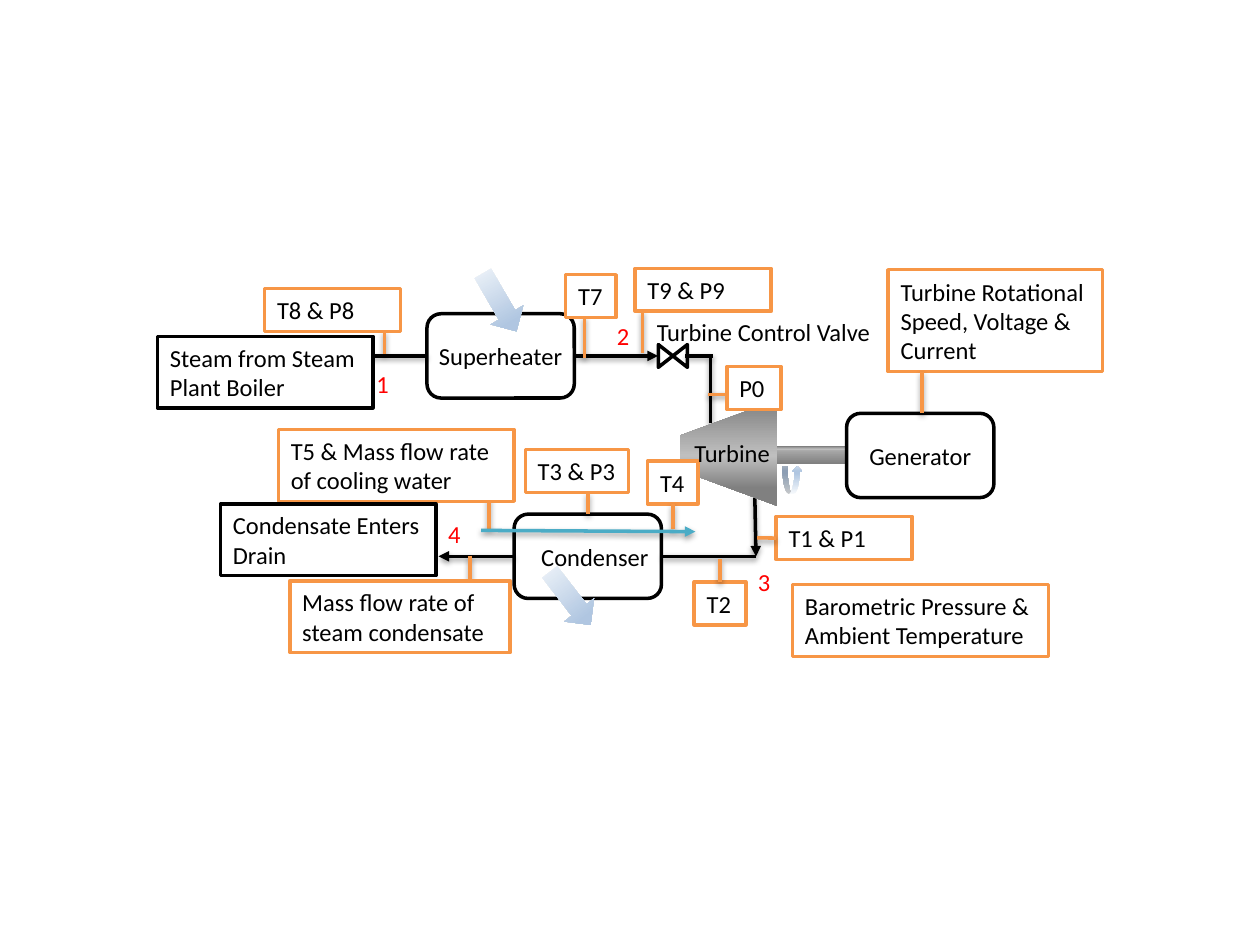
from dataclasses import dataclass
from typing import Any

from lxml.etree import SubElement
from pptx import Presentation
from pptx.dml.color import RGBColor
from pptx.enum.shapes import MSO_CONNECTOR, MSO_SHAPE
from pptx.enum.text import MSO_ANCHOR, PP_ALIGN
from pptx.oxml import parse_xml
from pptx.oxml.ns import nsdecls, qn
from pptx.util import Pt

BLACK = RGBColor(0x00, 0x00, 0x00)
WHITE = RGBColor(0xFF, 0xFF, 0xFF)
RED = RGBColor(0xFF, 0x00, 0x00)
ORANGE = RGBColor(0xF7, 0x96, 0x46)
TEAL = RGBColor(0x4B, 0xAC, 0xC6)
DARK_GREY = RGBColor(0x80, 0x80, 0x80)
MID_GREY = RGBColor(0xA6, 0xA6, 0xA6)
LIGHT_GREY = RGBColor(0xBF, 0xBF, 0xBF)
PALE_BLUE = RGBColor(0xF6, 0xF9, 0xFC)
SOFT_BLUE = RGBColor(0xB0, 0xC6, 0xE1)
MIST_BLUE = RGBColor(0xCA, 0xD9, 0xEB)

SHAFT_STOPS = [(0, DARK_GREY), (74, MID_GREY), (83, LIGHT_GREY), (100, DARK_GREY)]
TURBINE_STOPS = [(0, DARK_GREY), (53, LIGHT_GREY), (83, DARK_GREY), (100, DARK_GREY)]
FLOW_STOPS = [(0, PALE_BLUE), (74, SOFT_BLUE), (83, SOFT_BLUE), (100, MIST_BLUE)]

TOP, LEFT, BOTTOM, RIGHT = range(4)
LINE_HEIGHT = 24.5
TWO_LINES = 41
UNIT_SIZE = (84.2, 48.2)
DIGIT_SIZE = (21, LINE_HEIGHT)
FLOW_SIZE = (38.2, 21.6)


@dataclass
class Region:
    """A part of the diagram with its own origin in points."""
    shapes: Any
    left: float
    top: float


def write_text(shape, text, color=BLACK, align=PP_ALIGN.LEFT, inset=7.2, right_inset=None):
    """Fill a shape with one formatted paragraph."""
    frame = shape.text_frame
    frame.word_wrap = True
    frame.vertical_anchor = MSO_ANCHOR.MIDDLE
    frame.margin_left = Pt(inset)
    frame.margin_right = Pt(inset if right_inset is None else right_inset)
    paragraph = frame.paragraphs[0]
    paragraph.text = text
    paragraph.alignment = align
    paragraph.font.name = "Calibri"
    paragraph.font.size = Pt(14)
    paragraph.font.color.rgb = color


def add_label(region, text, left, top, width, height=LINE_HEIGHT, **text_format):
    """Add free text without an outline."""
    label = region.shapes.add_textbox(
        Pt(region.left + left), Pt(region.top + top), Pt(width), Pt(height))
    write_text(label, text, **text_format)


def add_state_number(region, text, left, top):
    """Add the red number of a state point."""
    add_label(region, text, left, top, *DIGIT_SIZE, color=RED, align=PP_ALIGN.CENTER, inset=0)


def add_preset(region, kind, left, top, width, height, rotation=0):
    """Add a preset shape with neither fill nor line."""
    shape = region.shapes.add_shape(
        kind, Pt(region.left + left), Pt(region.top + top), Pt(width), Pt(height))
    shape.rotation = rotation
    shape.shadow.inherit = False
    shape.fill.background()
    shape.line.fill.background()
    return shape


def outline(shape, color):
    """Draw the standard outline."""
    shape.line.color.rgb = color
    shape.line.width = Pt(2)


def add_box(region, text, left, top, width, height=LINE_HEIGHT, color=ORANGE):
    """Add an outlined text box for a reading or an end point."""
    box = add_preset(region, MSO_SHAPE.RECTANGLE, left, top, width, height)
    box.fill.solid()
    box.fill.fore_color.rgb = WHITE
    outline(box, color)
    write_text(box, text, right_inset=0 if width < 60 else 7.2)
    return box


def add_unit(region, text, left, top, **text_format):
    """Add a rounded box for a plant unit."""
    unit = add_preset(region, MSO_SHAPE.ROUNDED_RECTANGLE, left, top, *UNIT_SIZE)
    unit.fill.solid()
    unit.fill.fore_color.rgb = WHITE
    outline(unit, BLACK)
    write_text(unit, text, inset=0, **text_format)
    return unit


def add_gradient(shape, stops, angle):
    """Replace the fill with a linear gradient."""
    properties = shape.fill._xPr
    properties.remove(properties.find(qn("a:noFill")))
    gradient = parse_xml(f'<a:gradFill {nsdecls("a")} rotWithShape="1"><a:gsLst/></a:gradFill>')
    for position, color in stops:
        stop = SubElement(gradient[0], qn("a:gs"), pos=str(position * 1000))
        SubElement(stop, qn("a:srgbClr"), val=str(color))
    SubElement(gradient, qn("a:lin"), ang=str(angle * 60000), scaled="0")
    properties.find(qn("a:prstGeom")).addnext(gradient)


def add_flow_arrow(region, left, top, rotation):
    """Add a shaded block arrow for heat flow."""
    arrow = add_preset(region, MSO_SHAPE.RIGHT_ARROW, left, top, *FLOW_SIZE, rotation)
    add_gradient(arrow, FLOW_STOPS, 0)


def add_line(region, start, end, color=BLACK, arrow=False, begin=None, finish=None):
    """Add a softly shadowed line, joined to (shape, side) pairs if given."""
    points = [Pt(origin + offset) for point in (start, end)
              for origin, offset in zip((region.left, region.top), point)]
    line = region.shapes.add_connector(MSO_CONNECTOR.STRAIGHT, *points)
    outline(line, color)
    if begin:
        line.begin_connect(*begin)
    if finish:
        line.end_connect(*finish)
    if arrow:
        SubElement(line.line._get_or_add_ln(), qn("a:tailEnd"), type="triangle")
    line._element.spPr.append(parse_xml(
        f'<a:effectLst {nsdecls("a")}><a:outerShdw blurRad="40000" dist="20000" dir="5400000" '
        'rotWithShape="0"><a:srgbClr val="000000"><a:alpha val="38000"/></a:srgbClr>'
        '</a:outerShdw></a:effectLst>'))


def draw_superheater(region):
    """Draw the steam supply, superheater and control valve."""
    superheater = add_unit(region, "Superheater", 154, 26.3, align=PP_ALIGN.CENTER)
    add_line(region, (119, 50.4), (154, 50.4), finish=(superheater, LEFT))
    add_line(region, (238.2, 50.4), (286, 50.4), arrow=True, begin=(superheater, RIGHT))
    add_flow_arrow(region, 176.4, 9, 59.8)
    valve = add_preset(region, MSO_SHAPE.FLOWCHART_COLLATE, 288, 42.1, 13, 16.6, 90)
    outline(valve, BLACK)
    add_line(region, (301.7, 50.4), (317.5, 50.4))
    for x, top, bottom in ((129.6, 36.4, 49.5), (244, 28, 51.5), (277.2, 25, 48.6)):
        add_line(region, (x, top), (x, bottom), ORANGE)
    add_box(region, "T8 & P8", 61.2, 11.9, 77.8)
    add_box(region, "T7", 233.3, 4, 28.8)
    add_box(region, "T9 & P9", 272.9, 0.4, 77.8)
    add_label(region, "Turbine Control Valve", 275, 24.1, 142.6, align=PP_ALIGN.CENTER)
    add_state_number(region, "1", 118.1, 54)
    add_state_number(region, "2", 255.6, 26.5)
    add_box(region, "Steam from Steam Plant Boiler", 0, 39.2, 123.1, TWO_LINES, BLACK)


def draw_turbine(region):
    """Draw the turbine, its shaft and the generator."""
    shaft = add_preset(region, MSO_SHAPE.RECTANGLE, 60, 102, 62, 10, 180)
    add_gradient(shaft, SHAFT_STOPS, 90)
    add_line(region, (69.3, 129), (70, 165), arrow=True)
    add_line(region, (44, 89), (44, 50.5))
    spin = add_preset(region, MSO_SHAPE.CURVED_DOWN_ARROW, 85.1, 113.4, 11.5, 15.8, 180)
    spin._element.spPr.find(qn("a:xfrm")).set("flipH", "1")
    add_gradient(spin, FLOW_STOPS, 90)
    turbine = add_preset(region, MSO_SHAPE.TRAPEZOID, 24, 78, 60.5, 55.4, 270)
    turbine.adjustments[0] = 0.368
    add_gradient(turbine, TURBINE_STOPS, 180)
    add_unit(region, "Generator", 121.8, 83.2, align=PP_ALIGN.CENTER)
    add_box(region, "Turbine Rotational Speed, Voltage & Current", 145.6, 1.1, 122.4, 58.3)
    add_line(region, (165, 59.4), (165, 83.2), ORANGE)


def draw_turbine_readings(region):
    """Draw the turbine name and its inlet and exhaust readings."""
    add_line(region, (57, 72.4), (42.6, 72.4), ORANGE)
    add_box(region, "P0", 53.4, 56.5, 31)
    exhaust = add_box(region, "T1 & P1", 81.5, 142.2, 77.8)
    add_line(region, (81.5, 154.4), (70.7, 154.4), ORANGE, begin=(exhaust, LEFT))
    add_label(region, "Turbine", 0.9, 93.2, 84.2, align=PP_ALIGN.RIGHT)


def draw_condenser(region):
    """Draw the condenser, cooling water, drain and their readings."""
    condenser = add_unit(
        region, "Condenser", 167.8, 48.8, align=PP_ALIGN.RIGHT, right_inset=5)
    add_line(region, (167.8, 72.9), (124.6, 72.9), arrow=True, begin=(condenser, LEFT))
    add_line(region, (252, 72.9), (306, 72.9), begin=(condenser, RIGHT))
    add_flow_arrow(region, 180.7, 86.2, 52.3)
    add_state_number(region, "4", 123.1, 48)
    add_state_number(region, "3", 300.2, 75.4)
    add_line(region, (142.6, 72.5), (142.6, 86.9), ORANGE)
    add_line(region, (153.4, 39.4), (153.4, 57.4), ORANGE)
    add_line(region, (209.9, 36.5), (209.9, 48.8), ORANGE, finish=(condenser, TOP))
    add_box(region, "T3 & P3", 174.2, 12, 59)
    water_outlet = add_box(region, "T4", 244.1, 18.5, 28.8)
    add_line(region, (258.5, 43), (258.5, 57.4), ORANGE, begin=(water_outlet, BOTTOM))
    inlet = add_box(region, "T2", 270.7, 87.6, 29.5)
    add_line(region, (285.45, 74.7), (285.45, 87.6), ORANGE, finish=(inlet, TOP))
    add_box(region, "T5 & Mass flow rate of cooling water", 33.1, 0.5, 134.6, TWO_LINES)
    add_box(region, "Mass flow rate of steam condensate", 39.6, 86.9, 126, TWO_LINES)
    add_box(region, "Barometric Pressure & Ambient Temperature", 326.9, 89.1, 146.2, TWO_LINES)
    add_line(region, (149, 58.1), (271.4, 58.8), TEAL, arrow=True)
    add_box(region, "Condensate Enters Drain", 0, 43, 123.1, TWO_LINES, BLACK)


def main():
    """Build and save the steam plant diagram."""
    presentation = Presentation()
    presentation.slide_width, presentation.slide_height = Pt(720), Pt(540)
    shapes = presentation.slides.add_slide(presentation.slide_layouts[6]).shapes
    turbine_region = Region(shapes, 362, 153)
    draw_superheater(Region(shapes, 90, 153))
    draw_turbine(turbine_region)
    draw_condenser(Region(shapes, 126, 245))
    draw_turbine_readings(turbine_region)
    presentation.save("out.pptx")


if __name__ == "__main__":
    main()
